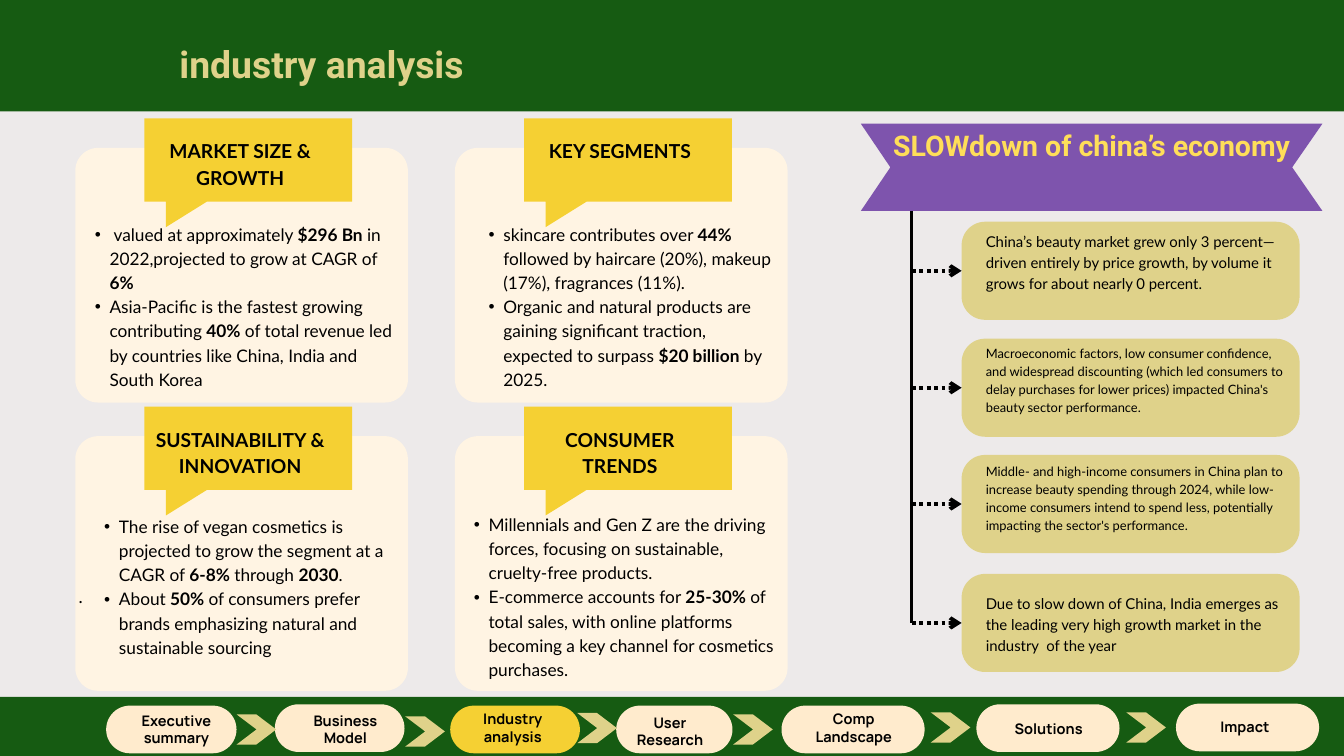
from dataclasses import dataclass

from lxml.etree import SubElement
from pptx import Presentation
from pptx.dml.color import RGBColor
from pptx.enum.dml import MSO_LINE
from pptx.enum.shapes import MSO_CONNECTOR, MSO_SHAPE
from pptx.enum.text import MSO_ANCHOR, MSO_AUTO_SIZE, PP_ALIGN
from pptx.oxml.ns import qn
from pptx.util import Pt

PX = 9144


@dataclass(frozen=True)
class Style:
    font: str
    size: float
    leading: float
    color: str = "000000"
    bold: bool = False


@dataclass(frozen=True)
class Theme:
    page: str = "EDEAEA"
    green: str = "165B12"
    purple: str = "7E54AD"
    sand: str = "DFD28A"
    cream: str = "FFF4E3"
    pill: str = "FFEBCD"
    yellow: str = "F5D033"
    ink: str = "000000"
    title: Style = Style("Roboto", 40, 56, "DFD28A", True)
    ribbon: Style = Style("Roboto", 30.5, 42.7, "FFDE59", True)
    heading: Style = Style("Lato", 20.6, 28.8, bold=True)
    body: Style = Style("Lato", 18.5, 25.9)
    mark: Style = Style("Lato", 19, 26.6)
    card: Style = Style("Lato", 16, 22.4)
    small_card: Style = Style("Lato", 13.8, 19.3)
    step: Style = Style("Manrope", 15.6, 18.7, bold=True)


T = Theme()

PANELS = [
    (112, 220, "MARKET SIZE & GROWTH", (119, 328, 474, 281),
     [" valued at approximately *$296 Bn* in 2022,projected to grow at CAGR of *6%*",
      "Asia-Pacific is the fastest growing contributing *40%* of total revenue led by "
      "countries like China, India and South Korea"]),
    (677, 220, "KEY SEGMENTS", (705, 328, 449, 281),
     ["skincare contributes over *44%* followed by haircare (20%), makeup (17%), fragrances (11%).",
      "Organic and natural products are gaining significant traction, expected to surpass "
      "*$20 billion* by 2025."]),
    (112, 649, "SUSTAINABILITY & INNOVATION", (133, 763, 449, 281),
     ["The rise of vegan cosmetics is projected to grow the segment at a CAGR of "
      "*6-8%* through *2030*.",
      "About* 50%* of consumers prefer brands emphasizing natural and sustainable sourcing"]),
    (677, 649, "CONSUMER TRENDS", (683, 760, 477, 281),
     ["Millennials and Gen Z are the driving forces, focusing on sustainable, cruelty-free products.",
      "E-commerce accounts for *25-30%* of total sales, with online platforms becoming a key "
      "channel for cosmetics purchases."]),
]

CARDS = [
    (330, 342, T.card, "China’s beauty market grew only 3 percent—driven entirely by price growth, "
                       "by volume it grows for about nearly 0 percent."),
    (504, 511, T.small_card, "Macroeconomic factors, low consumer confidence, and widespread discounting "
                             "(which led consumers to delay purchases for lower prices) impacted China's "
                             "beauty sector performance."),
    (677, 686, T.small_card, "Middle- and high-income consumers in China plan to increase beauty spending "
                             "through 2024, while low-income consumers intend to spend less, potentially "
                             "impacting the sector's performance."),
    (854, 881, T.card, "Due to slow down of China, India emerges as the leading very high growth market "
                       "in the industry  of the year"),
]

STEPS = [
    ((158, 1050, 194), (172, 1059, 181), ["Executive summary"]),
    ((409, 1048, 193), (458, 1059, 112), ["Business Model"]),
    ((670, 1050, 193), (707, 1057, 112), ["Industry", "analysis"]),
    ((917, 1050, 173), (936, 1062, 122), ["User Research"]),
    ((1163, 1050, 213), (1186, 1057, 169), ["Comp Landscape"]),
    ((1453, 1048, 213), (1476, 1071, 169), ["Solutions"]),
    ((1750, 1047, 213), (1768, 1069, 169), ["Impact"]),
]
CURRENT_STEP = 2
CHEVRONS = [(352, 1063), (603, 1066), (859, 1061), (1091, 1063), (1385, 1060), (1676, 1060)]


def emu(*lengths):
    return [n * PX for n in lengths]


def paint(sp, color):
    sp.shadow.inherit = False
    sp.fill.solid()
    sp.fill.fore_color.rgb = RGBColor.from_string(color)
    sp.line.fill.background()
    return sp


def add_block(s, kind, box, color, adjust=None):
    sp = paint(s.shapes.add_shape(kind, *emu(*box)), color)
    if adjust is not None:
        sp.adjustments[0] = adjust
    return sp


def add_outline(s, x, y, points, color):
    moved = [(x + dx, y + dy) for dx, dy in points]
    builder = s.shapes.build_freeform(*moved[0], scale=PX)
    builder.add_line_segments(moved[1:], close=True)
    return paint(builder.convert_to_shape(), color)


def add_bullet(p):
    pPr = p._p.get_or_add_pPr()
    pPr.set("marL", str(44 * PX))
    pPr.set("indent", str(-22 * PX))
    SubElement(pPr, qn("a:buFont")).set("typeface", "Arial")
    SubElement(pPr, qn("a:buChar")).set("char", "•")


def write(sp, lines, style, align=PP_ALIGN.LEFT, bullets=False):
    tf = sp.text_frame
    tf.word_wrap = True
    tf.auto_size = MSO_AUTO_SIZE.NONE
    tf.vertical_anchor = MSO_ANCHOR.TOP
    tf.margin_left = tf.margin_top = tf.margin_right = tf.margin_bottom = 0
    for i, line in enumerate(lines):
        p = tf.add_paragraph() if i else tf.paragraphs[0]
        if bullets:
            add_bullet(p)
        p.alignment = align
        p.line_spacing = Pt(style.leading)
        p.space_before = p.space_after = Pt(0)
        for j, piece in enumerate(line.split("*")):
            if piece:
                r = p.add_run()
                r.text = piece
                r.font.name = style.font
                r.font.size = Pt(style.size)
                r.font.bold = style.bold or j % 2 == 1
                r.font.color.rgb = RGBColor.from_string(style.color)


def add_text(s, box, lines, style, align=PP_ALIGN.LEFT):
    write(s.shapes.add_textbox(*emu(*box)), lines, style, align)


def fill_placeholder(s, idx, box, lines, style, **options):
    sp = s.placeholders[idx]
    sp.left, sp.top, sp.width, sp.height = emu(*box)
    write(sp, lines, style, **options)
    s.shapes._spTree.append(sp._element)


def add_line(s, start, end, width, card=None):
    c = s.shapes.add_connector(MSO_CONNECTOR.STRAIGHT, *emu(*start, *end))
    c.line.color.rgb = RGBColor.from_string(T.ink)
    c.line.width = Pt(width)
    if card is not None:
        c.line.dash_style = MSO_LINE.ROUND_DOT
        SubElement(c.line._get_or_add_ln(), qn("a:tailEnd")).set("type", "arrow")
        c.end_connect(card, 1)
    SubElement(c._element.spPr, qn("a:effectLst"))


def add_panel(s, idx, x, y, heading, box, items):
    callout = [(0, 0), (309, 0), (309, 124), (93, 124), (32, 162), (32, 124), (0, 124)]
    add_block(s, MSO_SHAPE.ROUNDED_RECTANGLE, (x, y, 495, 379), T.cream, 0.09)
    add_outline(s, x + 103, y - 44, callout, T.yellow)
    add_text(s, (x + 109, y - 18, 273, 77), [heading], T.heading, PP_ALIGN.CENTER)
    fill_placeholder(s, idx, box, items, T.body, bullets=True)


def add_slowdown(s):
    ribbon = [(0, 0), (687, 0), (642, 65), (687, 130), (0, 130), (44, 65)]
    add_outline(s, 1281, 184, ribbon, T.purple)
    add_text(s, (1281, 182, 687, 119), ["SLOWdown of china’s economy"], T.ribbon, PP_ALIGN.CENTER)
    add_line(s, (1357, 314), (1357, 927), 3)
    for top, text_top, style, text in CARDS:
        card = add_block(s, MSO_SHAPE.ROUNDED_RECTANGLE, (1431, top, 503, 146), T.sand, 0.24)
        middle = top + 73
        add_line(s, (1357, middle), (1431, middle), 4, card)
        add_text(s, (1467, text_top, 450, 120), [text], style)


def add_navigation(s):
    add_block(s, MSO_SHAPE.RECTANGLE, (0, 1037, 2000, 88), T.green)
    for i, ((x, y, w), (tx, ty, tw), lines) in enumerate(STEPS):
        color = T.yellow if i == CURRENT_STEP else T.pill
        add_block(s, MSO_SHAPE.ROUNDED_RECTANGLE, (x, y, w, 71), color, 0.5)
        add_text(s, (tx, ty, tw, 51), lines, T.step, PP_ALIGN.CENTER)
    for x, y in CHEVRONS:
        add_block(s, MSO_SHAPE.CHEVRON, (x, y, 59, 45), T.sand, 0.66)


def main():
    prs = Presentation()
    prs.slide_width, prs.slide_height = emu(2000, 1125)
    s = prs.slides.add_slide(prs.slide_layouts.get_by_name("Comparison"))
    s.background.fill.solid()
    s.background.fill.fore_color.rgb = RGBColor.from_string(T.page)
    add_block(s, MSO_SHAPE.RECTANGLE, (0, 0, 2000, 166), T.green)
    fill_placeholder(s, 0, (77, 50, 803, 78), ["industry analysis"], T.title, align=PP_ALIGN.CENTER)
    add_slowdown(s)
    for idx, panel in enumerate(PANELS, start=1):
        add_panel(s, idx, *panel)
    add_text(s, (117, 867, 10, 37), ["."], T.mark)
    add_navigation(s)
    prs.save("out.pptx")


if __name__ == "__main__":
    main()
